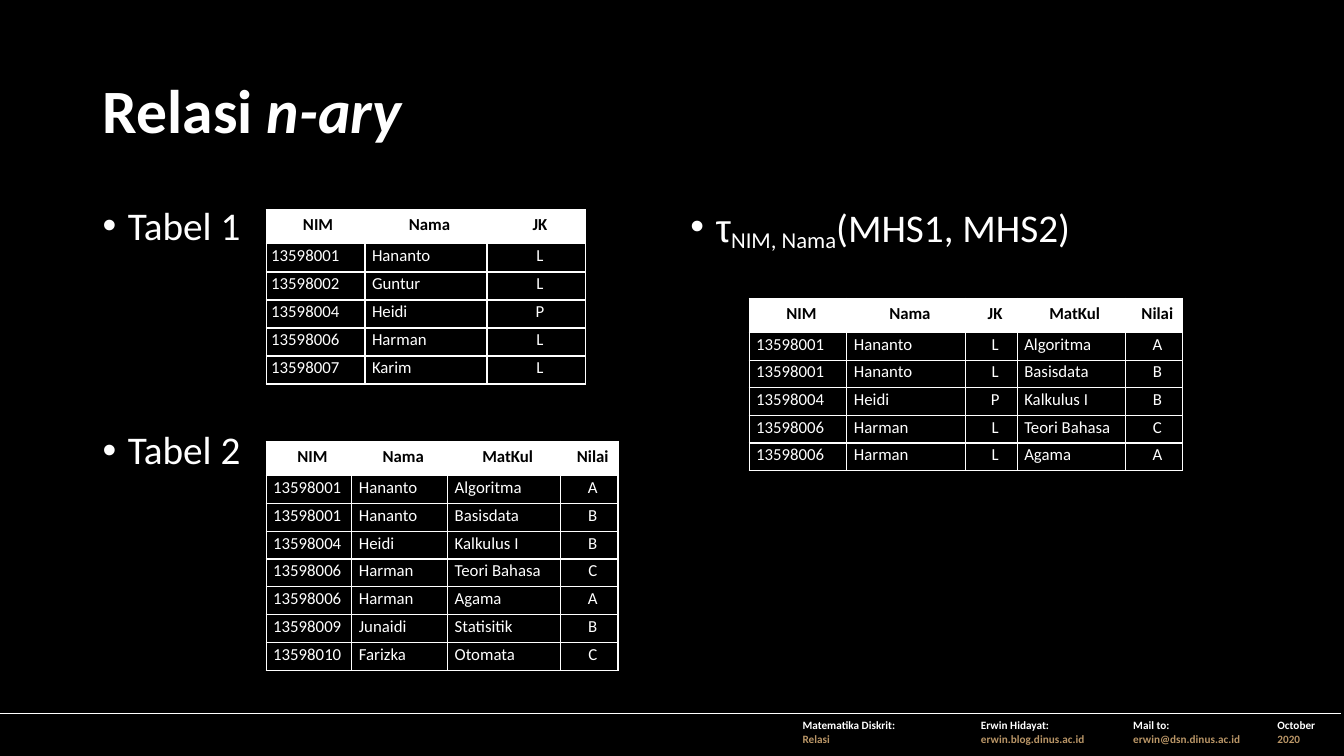
import lxml.etree
import pptx
import pptx.dml.color
import pptx.enum.text
import pptx.oxml
import pptx.oxml.ns
import pptx.util
from pptx.util import Inches

BLACK = pptx.dml.color.RGBColor(0x00, 0x00, 0x00)
WHITE = pptx.dml.color.RGBColor(0xFF, 0xFF, 0xFF)
GOLD = pptx.dml.color.RGBColor(0xBA, 0x96, 0x67)
FONT = "Calibri"
NO_STYLE = "{2D5ABB26-0587-4C30-8999-92F81FD0307C}"
HEADER_HEIGHT = 0.34
CENTERED_COLUMNS = ("JK", "Nilai")

STUDENTS = [
    ("NIM", "Nama", "JK"),
    ("13598001", "Hananto", "L"),
    ("13598002", "Guntur", "L"),
    ("13598004", "Heidi", "P"),
    ("13598006", "Harman", "L"),
    ("13598007", "Karim", "L"),
]
GRADES = [
    ("NIM", "Nama", "MatKul", "Nilai"),
    ("13598001", "Hananto", "Algoritma", "A"),
    ("13598001", "Hananto", "Basisdata", "B"),
    ("13598004", "Heidi", "Kalkulus I", "B"),
    ("13598006", "Harman", "Teori Bahasa", "C"),
    ("13598006", "Harman", "Agama", "A"),
    ("13598009", "Junaidi", "Statisitik", "B"),
    ("13598010", "Farizka", "Otomata", "C"),
]
JOINED = [
    ("NIM", "Nama", "JK", "MatKul", "Nilai"),
    ("13598001", "Hananto", "L", "Algoritma", "A"),
    ("13598001", "Hananto", "L", "Basisdata", "B"),
    ("13598004", "Heidi", "P", "Kalkulus I", "B"),
    ("13598006", "Harman", "L", "Teori Bahasa", "C"),
    ("13598006", "Harman", "L", "Agama", "A"),
]
FOOTER = [
    ("Matematika Diskrit:", "Relasi"),
    ("Erwin Hidayat:", "erwin.blog.dinus.ac.id"),
    ("Mail to:", "erwin@dsn.dinus.ac.id"),
    ("October", "2020"),
]


def add_run(paragraph, text, size, color=WHITE, bold=False, italic=False, font=FONT):
    run = paragraph.add_run()
    run.text = text
    run.font.name = font
    run.font.size = pptx.util.Pt(size)
    run.font.color.rgb = color
    run.font.bold = bold
    run.font.italic = italic
    return run


def add_bullet(paragraph):
    properties = paragraph._p.get_or_add_pPr()
    properties.set("marL", str(Inches(0.25)))
    properties.set("indent", str(-Inches(0.25)))
    bullet_font = lxml.etree.SubElement(properties, pptx.oxml.ns.qn("a:buFont"))
    bullet_font.set("typeface", "Arial")
    bullet = lxml.etree.SubElement(properties, pptx.oxml.ns.qn("a:buChar"))
    bullet.set("char", "•")
    paragraph.line_spacing = 0.9


def add_body(slide, left):
    frame = slide.shapes.add_textbox(
        Inches(left), Inches(2), Inches(5.67), Inches(4.76)).text_frame
    frame.word_wrap = True
    add_bullet(frame.paragraphs[0])
    return frame


def add_border(cell, side):
    cell._tc.get_or_add_tcPr().append(pptx.oxml.parse_xml(
        f'<a:ln{side} {pptx.oxml.ns.nsdecls("a")} w="12700"><a:solidFill>'
        f'<a:srgbClr val="{WHITE}"/></a:solidFill></a:ln{side}>'))


def add_plain_table(slide, left, top, widths, heights):
    """Add a table without style, with the given column widths and row heights."""
    table = slide.shapes.add_table(
        len(heights), len(widths), Inches(left), Inches(top),
        Inches(sum(widths)), Inches(sum(heights))).table
    table.first_row = False
    table.horz_banding = False
    table._tbl.tblPr.find(pptx.oxml.ns.qn("a:tableStyleId")).text = NO_STYLE
    for column, width in zip(table.columns, widths):
        column.width = Inches(width)
    for row, height in zip(table.rows, heights):
        row.height = Inches(height)
    return table


def add_data_table(slide, left, top, widths, height, records, first_indent=0.07):
    row_height = (height - HEADER_HEIGHT) / (len(records) - 1)
    heights = [HEADER_HEIGHT] + [row_height] * (len(records) - 1)
    table = add_plain_table(slide, left, top, widths, heights)
    for row, record in enumerate(records):
        is_header = row == 0
        for column, value in enumerate(record):
            cell = table.cell(row, column)
            for side in "LRTB":
                add_border(cell, side)
            if is_header:
                cell.fill.solid()
                cell.fill.fore_color.rgb = WHITE
            else:
                cell.fill.background()
            cell.margin_left = Inches(0.07 if column else first_indent)
            cell.margin_right = cell.margin_top = cell.margin_bottom = 0
            cell.vertical_anchor = pptx.enum.text.MSO_ANCHOR.MIDDLE
            paragraph = cell.text_frame.paragraphs[0]
            paragraph.line_spacing = pptx.util.Pt(12)
            if is_header or records[0][column] in CENTERED_COLUMNS:
                paragraph.alignment = pptx.enum.text.PP_ALIGN.CENTER
            add_run(paragraph, value, 12, BLACK if is_header else WHITE, is_header)


def add_footer(slide):
    table = add_plain_table(slide, 0, 7.08, [7.86, 1.77, 1.51, 1.43, 0.73], [0.41])
    for cell in table.iter_cells():
        add_border(cell, "T")
        cell.fill.background()
    for column, (label, value) in enumerate(FOOTER, start=1):
        frame = table.cell(0, column).text_frame
        add_run(frame.paragraphs[0], label, 8, bold=True)
        add_run(frame.add_paragraph(), value, 8, GOLD, bold=True)


def add_title(slide):
    title = slide.shapes.title
    title.left, title.top = Inches(0.92), Inches(0.4)
    title.width, title.height = Inches(11.5), Inches(1.45)
    title.text_frame.vertical_anchor = pptx.enum.text.MSO_ANCHOR.MIDDLE
    paragraph = title.text_frame.paragraphs[0]
    paragraph.alignment = pptx.enum.text.PP_ALIGN.LEFT
    paragraph.line_spacing = 0.9
    add_run(paragraph, "Relasi ", 44, bold=True)
    add_run(paragraph, "n-ary", 44, bold=True, italic=True)


def add_table_labels(slide):
    frame = add_body(slide, 0.92)
    add_run(frame.paragraphs[0], "Tabel 1", 28)
    second = frame.add_paragraph()
    add_bullet(second)
    second.space_before = pptx.util.Pt(130)
    add_run(second, "Tabel 2", 28)


def add_join_formula(slide):
    paragraph = add_body(slide, 6.75).paragraphs[0]
    add_run(paragraph, "τ", 28, font="Arial")
    subscript = add_run(paragraph, "NIM, Nama", 28)
    subscript.font._element.set("baseline", "-15000")
    add_run(paragraph, "(MHS1, MHS2)", 28)


def main():
    presentation = pptx.Presentation()
    presentation.slide_width = Inches(13.33)
    presentation.slide_height = Inches(7.5)
    slide = presentation.slides.add_slide(presentation.slide_layouts[5])
    slide.background.fill.solid()
    slide.background.fill.fore_color.rgb = BLACK

    add_footer(slide)
    add_title(slide)
    add_table_labels(slide)
    add_join_formula(slide)
    add_data_table(slide, 2.64, 4.38, [0.85, 0.95, 1.12, 0.57], 2.27, GRADES)
    add_data_table(slide, 2.64, 2.08, [0.98, 1.21, 0.98], 1.73, STUDENTS, 0.05)
    add_data_table(slide, 7.43, 2.96, [0.97, 1.18, 0.51, 1.07, 0.57], 1.71, JOINED)
    presentation.save("out.pptx")


if __name__ == "__main__":
    main()
